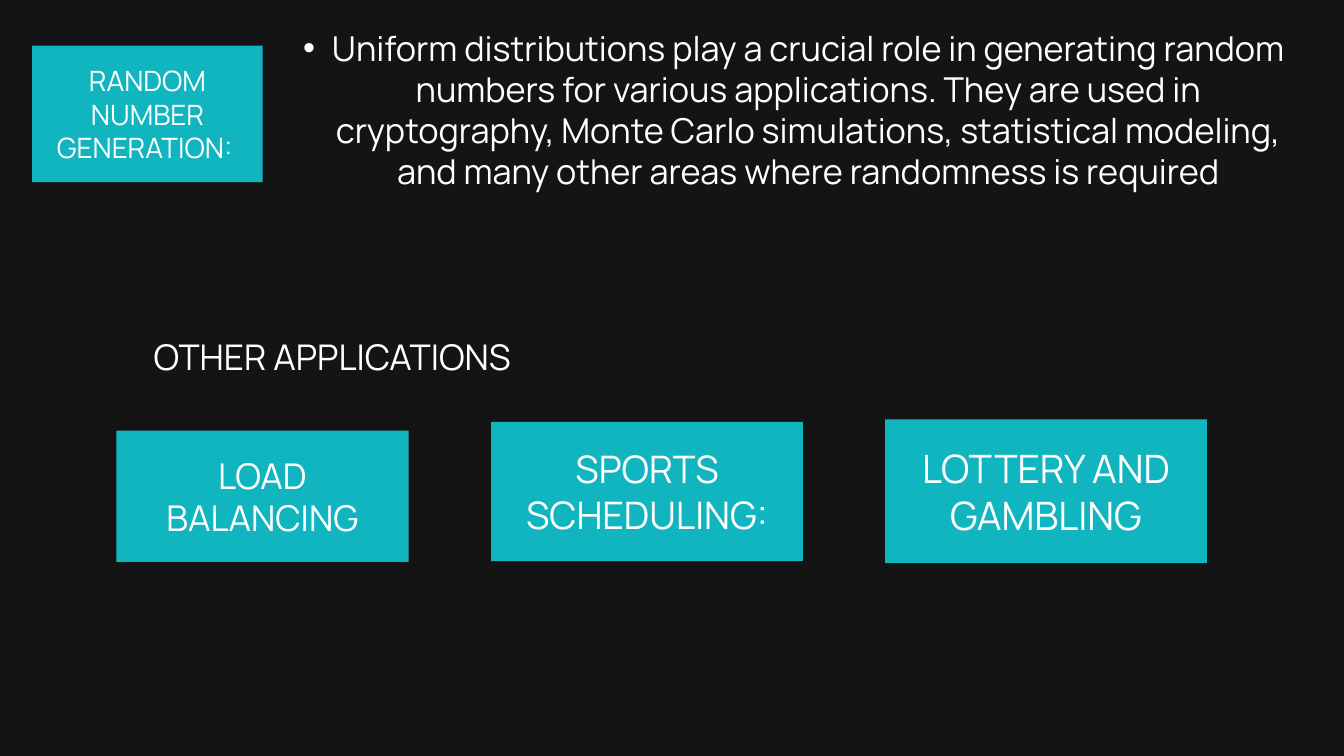
from lxml import etree
from pptx import Presentation
from pptx.dml.color import RGBColor
from pptx.enum import shapes, text
from pptx.oxml.ns import qn
from pptx.util import Inches, Pt

BACKGROUND = RGBColor(0x14, 0x14, 0x14)
TEAL = RGBColor(0x10, 0xB5, 0xBF)
WHITE = RGBColor(0xFF, 0xFF, 0xFF)

CARDS = [
    ("RANDOM NUMBER GENERATION: ", (0.48, 0.68, 3.43, 2.03), 30, 3),
    ("SPORTS SCHEDULING:", (7.31, 6.28, 4.64, 2.07), 40.6, 2),
    ("LOAD BALANCING", (1.73, 6.41, 4.35, 1.95), 38, 2),
    ("LOTTERY AND GAMBLING", (13.17, 6.24, 4.79, 2.14), 41.9, 2),
]
EXPLANATION = (
    "Uniform distributions play a crucial role in generating random numbers "
    "for various applications. They are used in cryptography, Monte Carlo "
    "simulations, statistical modeling, and many other areas where randomness "
    "is required"
)


def add_words(parent, box, words, size, spacing, bulleted=False):
    """Place a centred white paragraph in the box, with a bullet if asked."""
    frame = parent.add_textbox(*map(Inches, box)).text_frame
    frame_format = {"word_wrap": True, "margin_left": 0, "margin_right": 0,
                    "margin_top": 0, "margin_bottom": 0}
    for name, value in frame_format.items():
        setattr(frame, name, value)
    paragraph = frame.paragraphs[0]
    paragraph.alignment = text.PP_ALIGN.CENTER
    paragraph.line_spacing = Pt(spacing)
    if bulleted:
        paragraph.level = 1
        properties = paragraph._p.get_or_add_pPr()
        properties.set("marL", str(Inches(0.87)))
        properties.set("indent", str(Inches(-0.43)))
        etree.SubElement(properties, qn("a:buFont"), typeface="Arial")
        etree.SubElement(properties, qn("a:buChar"), char="•")
    run = paragraph.add_run()
    run.text = words
    for name, value in {"name": "Manrope", "size": Pt(size)}.items():
        setattr(run.font, name, value)
    run.font.color.rgb = WHITE


def add_card(slide, box, label, size, lines):
    """Place a teal card with its label centred inside the box."""
    left, top, width, height = box
    card = slide.shapes.add_group_shape().shapes
    panel = card.add_shape(shapes.MSO_SHAPE.RECTANGLE, *map(Inches, box))
    panel.shadow.inherit = False
    panel.fill.solid()
    panel.fill.fore_color.rgb = TEAL
    panel.line.fill.background()
    spacing = 1.2 * size
    label_width, label_height = 0.886 * width, lines * spacing / 72
    label_box = (left + (width - label_width) / 2, top + (height - label_height) / 2,
                 label_width, label_height)
    add_words(card, label_box, label, size, spacing)


def main():
    """Build the slide on applications of uniform distributions."""
    deck = Presentation()
    deck.slide_width, deck.slide_height = Inches(20), Inches(11.25)
    slide = deck.slides.add_slide(deck.slide_layouts[6])
    slide.background.fill.solid()
    slide.background.fill.fore_color.rgb = BACKGROUND
    add_words(slide.shapes, (3.91, 0.4, 15.37, 3.06), EXPLANATION, 36.7, 44, bulleted=True)
    for label, box, size, lines in CARDS:
        add_card(slide, box, label, size, lines)
    add_words(slide.shapes, (2.19, 4.99, 5.51, 1.26), "OTHER APPLICATIONS", 37.9, 45.5)
    deck.save("out.pptx")


if __name__ == "__main__":
    main()
